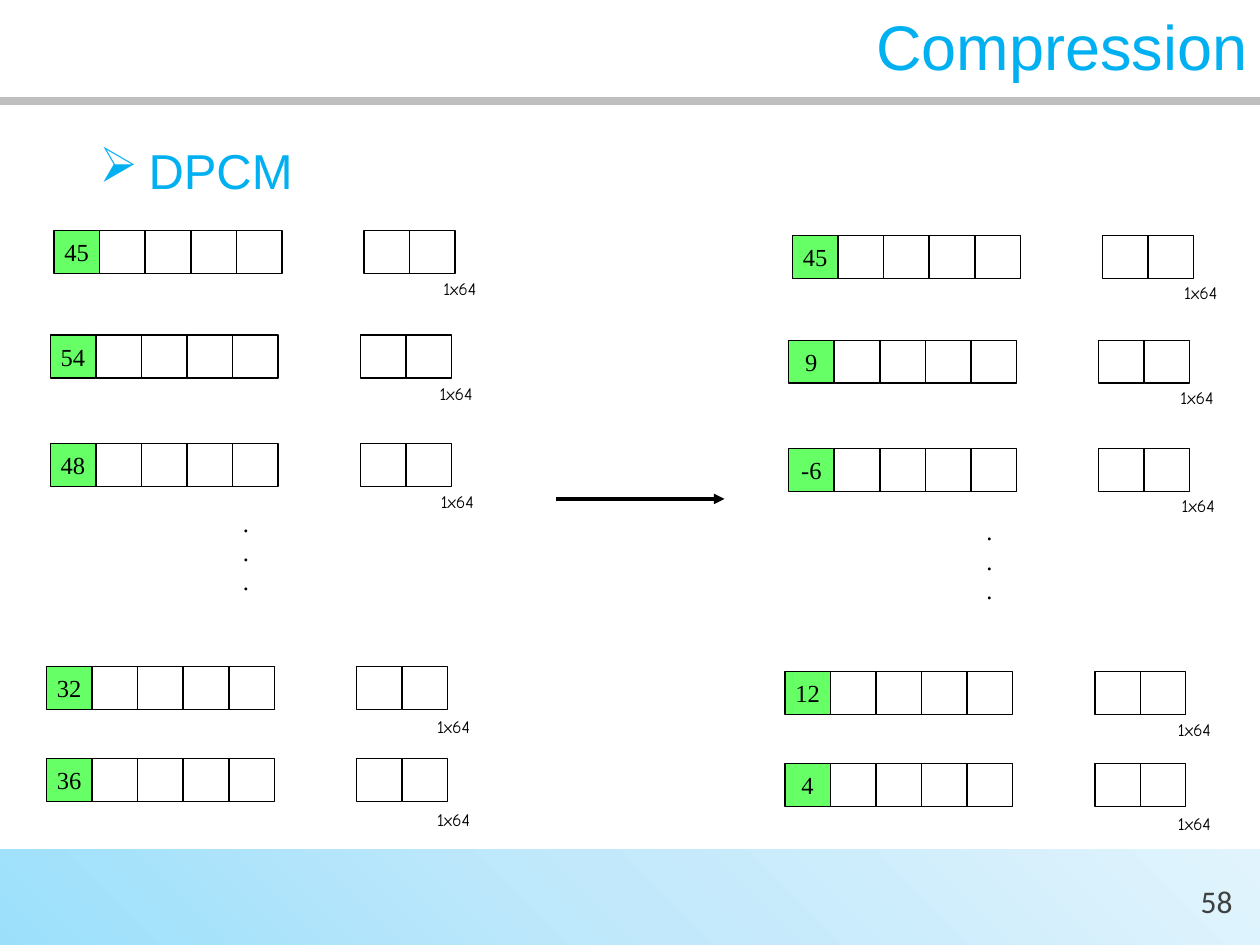
from dataclasses import dataclass

import lxml.etree
import pptx
import pptx.dml.color
import pptx.enum.shapes
import pptx.enum.text
import pptx.oxml
import pptx.oxml.ns
import pptx.util

Inches = pptx.util.Inches
Pt = pptx.util.Pt
Align = pptx.enum.text.PP_ALIGN
Anchor = pptx.enum.text.MSO_ANCHOR
qn = pptx.oxml.ns.qn

BLACK, SKY, GREEN = "000000", "00B0F0", "66FF66"
CELL_PITCH = 1.81 / 5
CELL_SIZE = (0.36, 0.34)
TAIL_OFFSET = 2.46
CELL_OFFSETS = [step * CELL_PITCH for step in range(5)] + [
    TAIL_OFFSET + step * CELL_PITCH for step in range(2)
]


@dataclass(frozen=True)
class TextStyle:
    size: float
    face: str
    color: str
    align: Align = Align.LEFT
    anchor: Anchor = Anchor.TOP
    wrap: bool = False
    line_spacing: float = 1.0
    space_before: float = 0


@dataclass(frozen=True)
class Block:
    left: float
    top: float
    label_left: float
    label_top: float
    coefficient: str
    difference: str


@dataclass(frozen=True)
class Side:
    cell_shift: tuple[float, float]
    label_shift: tuple[float, float]
    field: str


TITLE = TextStyle(36, "Arial", SKY, Align.RIGHT, Anchor.MIDDLE, True, 0.9)
TOPIC = TextStyle(28, "Arial", SKY, wrap=True, line_spacing=0.9, space_before=12)
PAGE = TextStyle(18, "Calibri", "404040", Align.CENTER, Anchor.MIDDLE, True)
VALUE = TextStyle(14, "Times New Roman", BLACK, Align.CENTER, Anchor.MIDDLE)
DOTS = TextStyle(14, "Times New Roman", BLACK)
LABEL = TextStyle(10, "Comic Neue", BLACK)

BLOCKS = [
    Block(0.43, 1.83, 3.42, 2.16, "45", "45"),
    Block(0.40, 2.66, 3.39, 2.99, "54", "9"),
    Block(0.40, 3.52, 3.40, 3.85, "48", "-6"),
    Block(0.37, 5.29, 3.37, 5.63, "32", "12"),
    Block(0.37, 6.02, 3.37, 6.37, "36", "4"),
]
SIDES = [
    Side((0, 0), (0, 0), "coefficient"),
    Side((5.86, 0.04), (5.88, 0.03), "difference"),
]


def rgb(code: str) -> pptx.dml.color.RGBColor:
    return pptx.dml.color.RGBColor.from_string(code)


def write(shape, lines: list[str], style: TextStyle) -> None:
    frame = shape.text_frame
    frame.word_wrap = style.wrap
    frame.vertical_anchor = style.anchor
    paragraph_format = {
        "alignment": style.align,
        "line_spacing": style.line_spacing,
        "space_before": Pt(style.space_before),
    }
    font_format = {"size": Pt(style.size), "name": style.face}
    for index, line in enumerate(lines):
        paragraph = frame.add_paragraph() if index else frame.paragraphs[0]
        for name, value in paragraph_format.items():
            setattr(paragraph, name, value)
        run = paragraph.add_run()
        run.text = line
        for name, value in font_format.items():
            setattr(run.font, name, value)
        run.font.color.rgb = rgb(style.color)


def add_text(slide, bounds: tuple, lines: list[str], style: TextStyle):
    box = slide.shapes.add_textbox(*map(Inches, bounds))
    write(box, lines, style)
    if not style.wrap:
        box.text_frame.auto_size = pptx.enum.text.MSO_AUTO_SIZE.SHAPE_TO_FIT_TEXT
    return box


def add_rectangle(slide, bounds: tuple):
    rectangle = slide.shapes.add_shape(
        pptx.enum.shapes.MSO_SHAPE.RECTANGLE, *map(Inches, bounds)
    )
    rectangle.shadow.inherit = False
    return rectangle


def add_cell(slide, left: float, top: float, value: str) -> None:
    cell = add_rectangle(slide, (left, top, *CELL_SIZE))
    cell.line.color.rgb = rgb(BLACK)
    cell.line.width = Pt(0.75)
    if value:
        cell.fill.solid()
        cell.fill.fore_color.rgb = rgb(GREEN)
        write(cell, [value], VALUE)
    else:
        cell.fill.background()


def add_block(slide, block: Block, side: Side) -> None:
    left = block.left + side.cell_shift[0]
    top = block.top + side.cell_shift[1]
    for index, offset in enumerate(CELL_OFFSETS):
        value = "" if index else getattr(block, side.field)
        add_cell(slide, left + offset, top, value)
    label_left = block.label_left + side.label_shift[0]
    label_top = block.label_top + side.label_shift[1]
    add_text(slide, (label_left, label_top, 0.72, 0.36), ["1x64"], LABEL)


def add_line(slide, start: tuple, end: tuple, color: str, width: float):
    line = slide.shapes.add_connector(
        pptx.enum.shapes.MSO_CONNECTOR.STRAIGHT, *map(Inches, start + end)
    )
    line.line.color.rgb = rgb(color)
    line.line.width = Pt(width)
    lxml.etree.SubElement(line._element.spPr, qn("a:effectLst"))
    return line


def add_footer_band(slide) -> None:
    band = add_rectangle(slide, (0, 6.74, 10, 0.84))
    band.line.fill.background()
    band.fill.gradient()
    gradient = band._element.spPr.find(qn("a:gradFill"))
    stops = gradient.find(qn("a:gsLst"))
    for stop in list(stops):
        stops.remove(stop)
    for position, color in ((0, "9BDFFB"), (50, "C2E9FB"), (100, "E1F4FD")):
        stop = lxml.etree.SubElement(stops, qn("a:gs"), pos=str(position * 1000))
        lxml.etree.SubElement(stop, qn("a:srgbClr"), val=color)
    gradient.find(qn("a:lin")).set("ang", str(315 * 60000))


def add_topic(slide) -> None:
    topic = add_text(slide, (0.69, 1.12, 8.62, 5.64), ["DPCM"], TOPIC)
    properties = topic.text_frame.paragraphs[0]._p.get_or_add_pPr()
    properties.set("marL", str(Inches(0.39)))
    properties.set("indent", str(Inches(-0.39)))
    lxml.etree.SubElement(properties, qn("a:buChar"), char="➢")


def main() -> None:
    deck = pptx.Presentation()
    deck.slide_width, deck.slide_height = Inches(10), Inches(7.5)
    slide = deck.slides.add_slide(deck.slide_layouts[6])

    add_footer_band(slide)
    add_line(slide, (0, 0.8), (10, 0.8), "BFBFBF", 4.5)
    add_topic(slide)
    add_text(slide, (9.31, 6.95, 0.69, 0.4), ["58"], PAGE)
    add_text(slide, (0, 0, 10, 0.8), ["Compression"], TITLE)

    for side in SIDES:
        for block in BLOCKS:
            add_block(slide, block, side)
    for left, top in ((1.83, 3.98), (7.73, 4.05)):
        add_text(slide, (left, top, 0.35, 1.07), ["."] * 3, DOTS)

    arrow = add_line(slide, (4.41, 3.96), (5.75, 3.96), BLACK, 2)
    lxml.etree.SubElement(arrow.line._get_or_add_ln(), qn("a:tailEnd"), type="triangle")

    deck.save("out.pptx")


if __name__ == "__main__":
    main()
